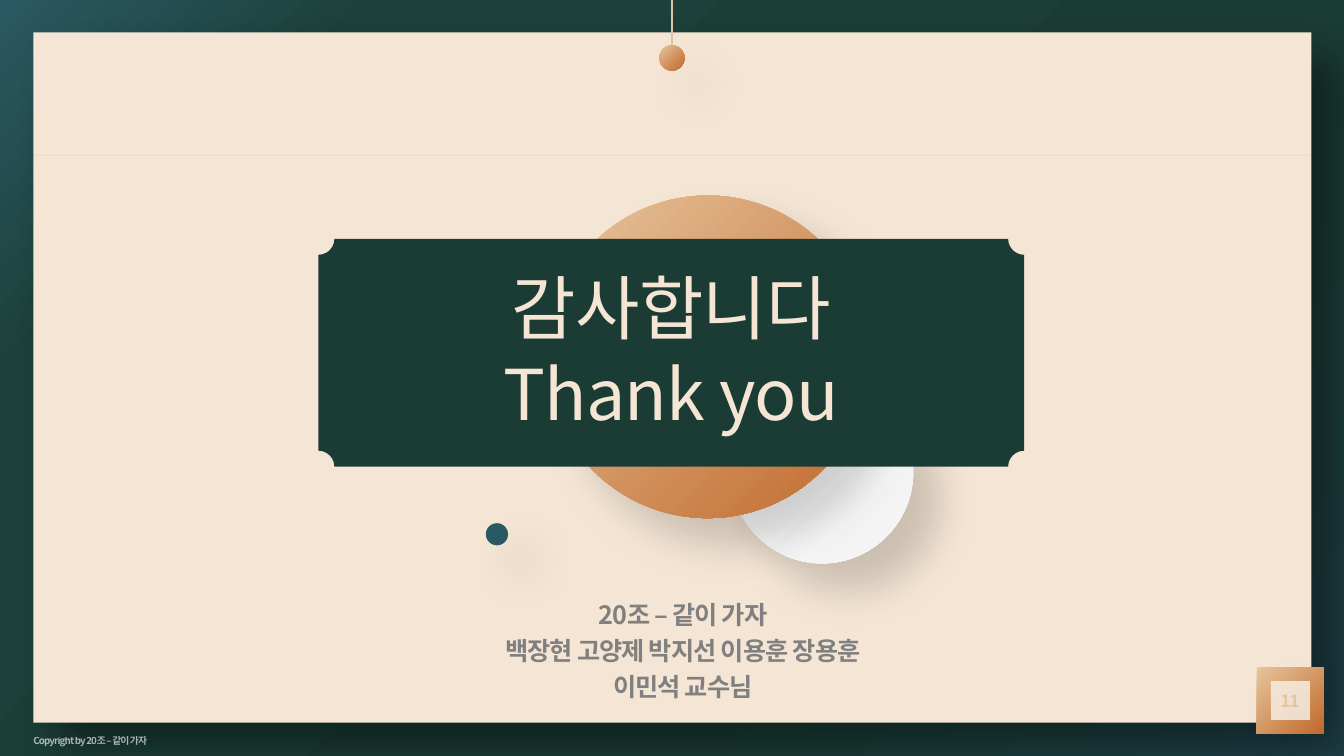
from lxml import etree
from pptx import Presentation
from pptx import util as u
from pptx.dml import color
from pptx.enum import shapes, text
from pptx.oxml import ns

COLORS = {
    "cream": "F4E5D4", "green": "1B3C35", "teal": "2A5963", "gold": "E7C49D",
    "copper": "C16A2C", "rule": "E3AB83", "thread": "E4C2A9", "gray": "808080",
    "white": "FFFFFF", "silver": "F2F2F2", "black": "000000",
    "slate": "1F4148", "forest": "1B3C33", "pine": "1D403A",
}
FONT = "Noto Sans CJK KR"
SLIDE_SIZE = (960, 540)
BACKDROP = [(0, "slate"), (33, "forest"), (82, "pine"), (100, "teal")]
BRONZE = [(0, "gold"), (100, "copper")]
PEARL = [(0, "white"), (100, "silver")]
KINDS = shapes.MSO_SHAPE
CARD = (23.76, 23.04, 912.96, 493.2)
PAGE_FRAME = (897.84, 476.64, 47.52, 47.52)
BEAD = (470.88, 32.4, 18, 18)
PEARL_DISC = (522, 272.16, 130.32, 130.32)
TEAL_DOT = (347.04, 373.68, 15.84, 15.84)
BRONZE_DISC = (390.24, 139.68, 230.4, 230.4)
PLAQUE = (227.52, 170.64, 504, 162.72)
COPYRIGHT_BOX = (23.76, 516.96, 169.2, 23.04)
TEAM_BOX = (118.08, 405.36, 739.44, 114.48)
RULE_TOP = 110.88
TITLE = ["감사합니다", "Thank you"]
TEAM = ["20조 – 같이 가자", "백장현 고양제 박지선 이용훈 장용훈", "이민석 교수님"]
COPYRIGHT = ["Copyright by 20조 – 같이 가자"]
PAGE_NUMBER = ["11"]


def rgb(name):
    return color.RGBColor.from_string(COLORS[name])


def add_element(parent, tag, **attributes):
    return etree.SubElement(parent, ns.qn(tag), attributes)


def add_alpha(color_element, percent):
    add_element(color_element, "a:alpha", val=str(percent * 1000))


def paint_gradient(fill, owner, stops, radial=False):
    fill.gradient()
    gradient = next(owner.iter(ns.qn("a:gradFill")))
    for child in list(gradient):
        gradient.remove(child)
    stop_list = add_element(gradient, "a:gsLst")
    for position, name in stops:
        stop = add_element(stop_list, "a:gs", pos=str(position * 1000))
        add_element(stop, "a:srgbClr", val=COLORS[name])
    if radial:
        circle = add_element(gradient, "a:path", path="circle")
        add_element(circle, "a:fillToRect", l="100000", t="100000")
    else:
        add_element(gradient, "a:lin", ang="2700000", scaled="0")


def add_shadow(shape, percent):
    effects = shape.element.spPr.find(ns.qn("a:effectLst"))
    shadow = add_element(effects, "a:outerShdw", blurRad=str(u.Pt(30)), dist=str(u.Pt(26)),
                         dir="2700000", algn="tl", rotWithShape="0")
    add_alpha(add_element(shadow, "a:srgbClr", val=COLORS["black"]), percent)


def add_figure(slide, kind, box, paint, shadow=0, adjustment=None):
    shape = slide.shapes.add_shape(kind, *map(u.Pt, box))
    shape.shadow.inherit = False
    shape.line.fill.background()
    if adjustment is not None:
        shape.adjustments[0] = adjustment
    if isinstance(paint, str):
        shape.fill.solid()
        shape.fill.fore_color.rgb = rgb(paint)
    else:
        paint_gradient(shape.fill, shape.element.spPr, paint)
    if shadow:
        add_shadow(shape, shadow)
    return shape


def add_line(slide, start, end, name, width, alpha=100):
    line = slide.shapes.add_connector(shapes.MSO_CONNECTOR.STRAIGHT, *map(u.Pt, start + end))
    line.line.color.rgb = rgb(name)
    line.line.width = u.Pt(width)
    if alpha < 100:
        add_alpha(next(line.element.spPr.iter(ns.qn("a:srgbClr"))), alpha)
    add_element(line.element.spPr, "a:effectLst")
    return line


def write(shape, lines, size, name, bold=False, align=text.PP_ALIGN.CENTER,
          spacing=None, insets=(0, 0, 0, 0), alpha=100):
    frame = shape.text_frame
    frame.word_wrap = True
    frame.vertical_anchor = text.MSO_ANCHOR.MIDDLE
    (frame.margin_left, frame.margin_top,
     frame.margin_right, frame.margin_bottom) = map(u.Pt, insets)
    frame.text = "\n".join(lines)
    for paragraph in frame.paragraphs:
        paragraph.alignment = align
        paragraph.line_spacing = spacing
        for run in paragraph.runs:
            run.font.size = u.Pt(size)
            run.font.bold = bold
            run.font.name = FONT
            run.font.color.rgb = rgb(name)
            properties = run.font._element
            properties.set("spc", "-60")
            add_element(properties, "a:ea", typeface=FONT)
            if alpha < 100:
                add_alpha(next(properties.iter(ns.qn("a:srgbClr"))), alpha)


def add_text(slide, box, lines, *style, **options):
    write(slide.shapes.add_textbox(*map(u.Pt, box)), lines, *style, **options)


def main():
    """Build the closing thank-you slide."""
    presentation = Presentation()
    presentation.slide_width, presentation.slide_height = map(u.Pt, SLIDE_SIZE)
    slide = presentation.slides.add_slide(presentation.slide_layouts[6])
    paint_gradient(slide.background.fill, slide.element, BACKDROP, radial=True)

    add_figure(slide, KINDS.ROUNDED_RECTANGLE, CARD, "cream", 40, 0)
    card_right = CARD[0] + CARD[2]
    add_line(slide, (CARD[0], RULE_TOP), (card_right, RULE_TOP), "rule", 0.5, 24)
    page_frame = add_figure(slide, KINDS.FRAME, PAGE_FRAME, BRONZE, 8, 0.2)
    write(page_frame, PAGE_NUMBER, 12, "gold", bold=True)
    bead = add_figure(slide, KINDS.OVAL, BEAD, BRONZE, 8)
    bead_center = BEAD[0] + BEAD[2] / 2
    thread = add_line(slide, (bead_center, BEAD[1]), (bead_center, 0), "thread", 1)
    thread.begin_connect(bead, 0)

    add_figure(slide, KINDS.OVAL, PEARL_DISC, PEARL, 17)
    add_text(slide, COPYRIGHT_BOX, COPYRIGHT, 7, "white", bold=True,
             align=text.PP_ALIGN.LEFT, spacing=1.2, alpha=64)
    add_text(slide, TEAM_BOX, TEAM, 18, "gray", bold=True,
             spacing=u.Pt(25.8), insets=(7.2, 3.6, 7.2, 3.6))
    add_figure(slide, KINDS.OVAL, TEAL_DOT, "teal", 17)
    add_figure(slide, KINDS.OVAL, BRONZE_DISC, BRONZE, 17)
    plaque = add_figure(slide, KINDS.PLAQUE, PLAQUE, "green", adjustment=0.07)
    write(plaque, TITLE, 50, "cream", spacing=u.Pt(61.5), insets=(14.4, 3.6, 14.4, 10))
    presentation.save("out.pptx")


if __name__ == "__main__":
    main()
